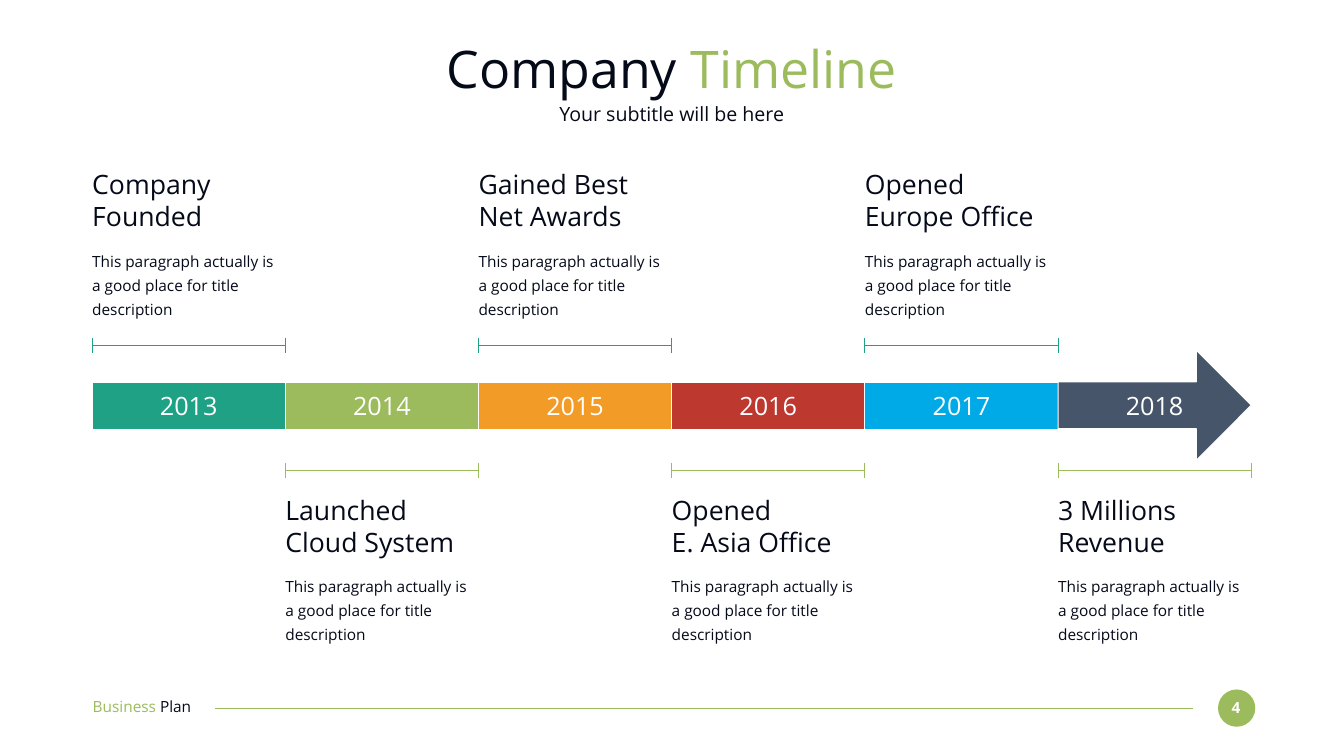
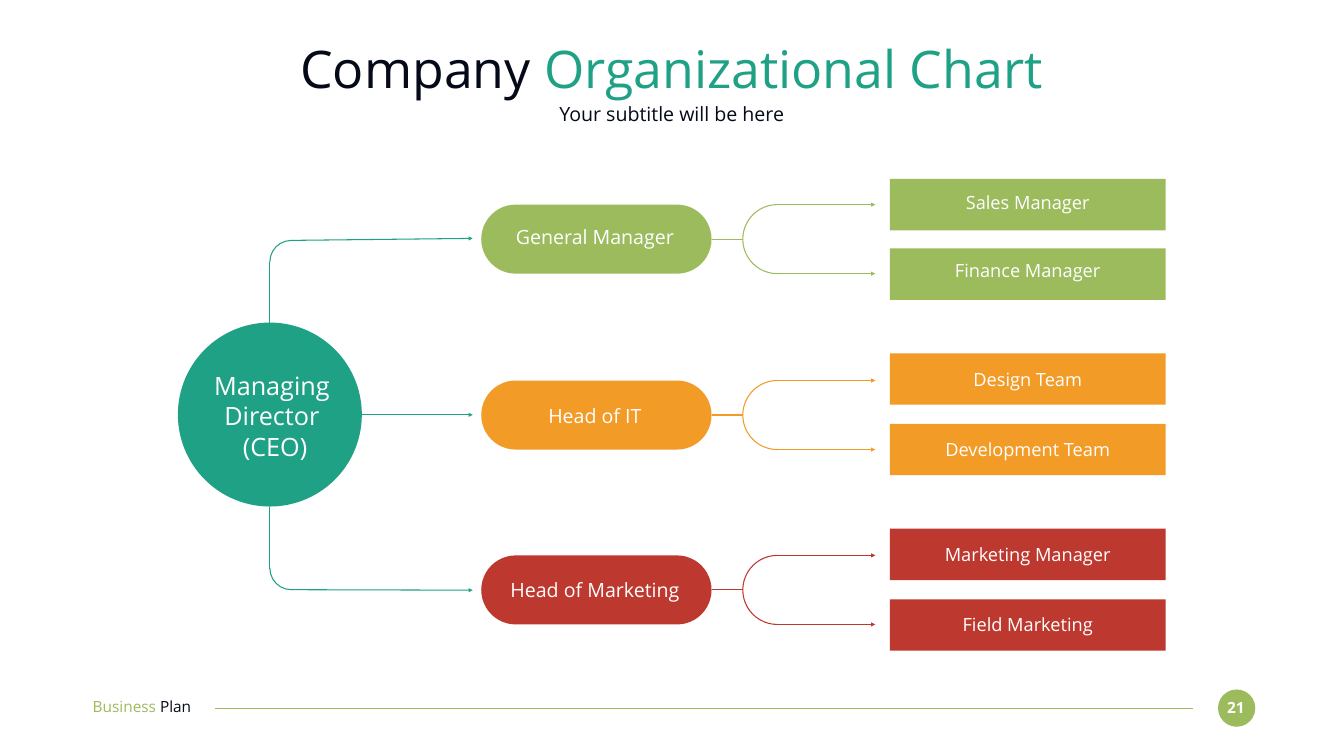
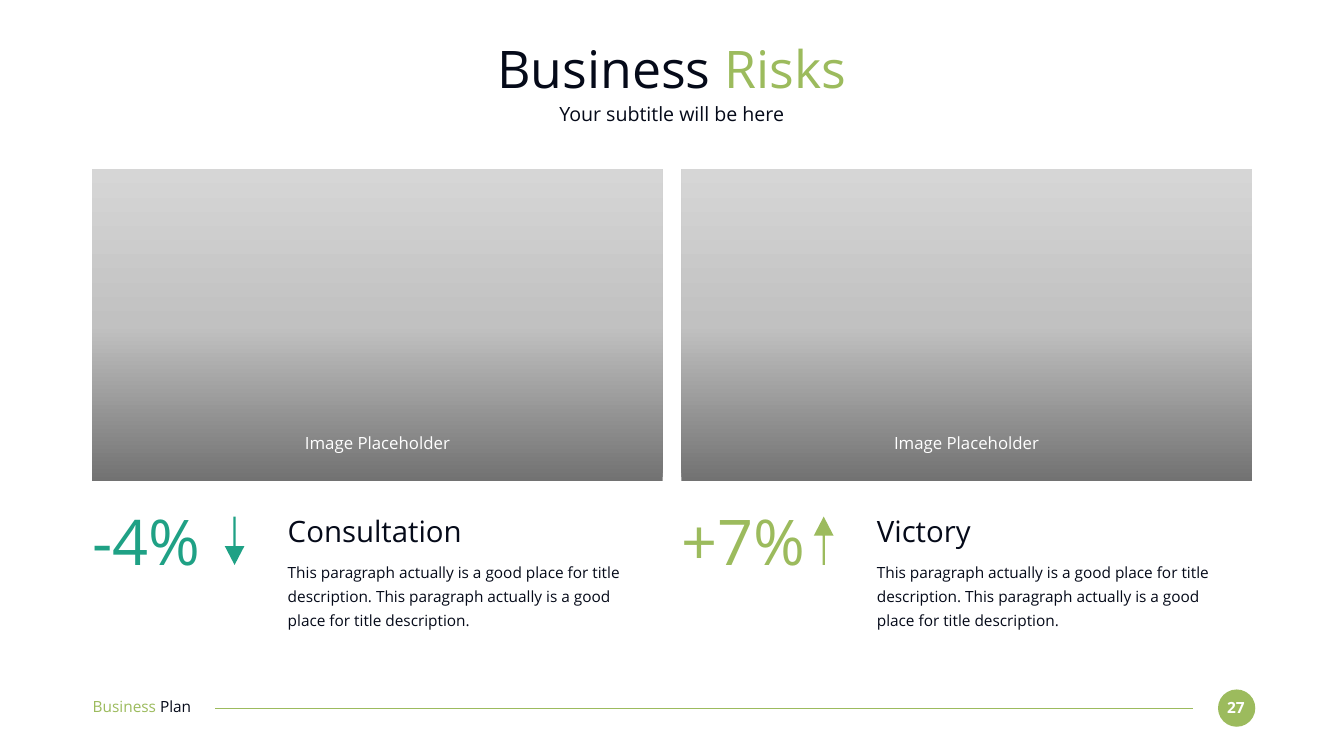
from copy import deepcopy

from lxml.etree import SubElement as Sub
from pptx import Presentation
from pptx.dml.color import RGBColor
from pptx.enum.shapes import MSO_CONNECTOR as Link, MSO_SHAPE as Kind
from pptx.enum.text import MSO_ANCHOR as Anchor, MSO_AUTO_SIZE as Size, PP_ALIGN as Align
from pptx.oxml.ns import qn
from pptx.util import Inches, Pt

FONT = "Open Sans"
INK, WHITE = "050A19", "FFFFFF"
TEAL, GREEN, AMBER = "1FA185", "9CBB5D", "F29B27"
RED, BLUE, SLATE = "BD382F", "00AAE6", "465569"
LEFT, WIDE = 1.83, 23
BLURB = "This paragraph actually is a good place for title description"


def rgb(code):
    return RGBColor.from_string(code)


def inch(*vals):
    return [Inches(v) for v in vals]


def write(frame, paras, size, align=Align.LEFT, space=None, bold=False):
    """Fill a frame; each paragraph is a list of (text, colour) runs."""
    frame.word_wrap = True
    frame.auto_size = Size.NONE
    frame.vertical_anchor = Anchor.TOP
    frame.margin_left = frame.margin_right = 0
    frame.margin_top = frame.margin_bottom = 0
    for i, runs in enumerate(paras):
        para = frame.add_paragraph() if i else frame.paragraphs[0]
        para.alignment = align
        if space:
            para.line_spacing = space
        for text, color in runs:
            run = para.add_run()
            run.text = text
            font = run.font
            font.name, font.size, font.bold = FONT, Pt(size), bold
            font.color.rgb = rgb(color)


def label(slide, box, text, size, color=INK, **style):
    """Add a text box of one colour; a line break starts a paragraph."""
    frame = slide.shapes.add_textbox(*inch(*box)).text_frame
    write(frame, [[(t, color)] for t in text.split("\n")], size, **style)


def center(slide, box, text, size, color=WHITE, **style):
    label(slide, box, text, size, color, align=Align.CENTER, **style)


def form(slide, kind, box, fill=None, edge=None, adj=()):
    shape = slide.shapes.add_shape(kind, *inch(*box))
    shape.shadow.inherit = False
    if fill:
        shape.fill.solid()
        shape.fill.fore_color.rgb = rgb(fill)
    else:
        shape.fill.background()
    if edge:
        shape.line.color.rgb = rgb(edge)
        shape.line.width = Pt(1.5)
    else:
        shape.line.fill.background()
    for i, val in enumerate(adj):
        shape.adjustments[i] = val
    return shape


def rule(shapes, x1, y1, x2, y2, color, arrow=False):
    """Draw a line, with an arrowhead at its first point if asked."""
    line = shapes.add_connector(Link.STRAIGHT, *inch(x1, y1, x2, y2))
    line.line.color.rgb = rgb(color)
    line.line.width = Pt(1.5)
    if arrow:
        Sub(line.line._get_or_add_ln(), qn("a:headEnd"), type="triangle")
    Sub(line._element.spPr, qn("a:effectLst"))
    return line


def arc(slide, box, color, end=0, flip=False):
    shape = form(slide, Kind.ARC, box, edge=color, adj=(162, end))
    if flip:
        shape._element.spPr.xfrm.set("flipH", "1")
    return shape


def footer(slide, number):
    form(slide, Kind.OVAL, (24.17, 13.68, 0.74, 0.74), GREEN)
    center(slide, (24.23, 13.85, 0.59, 0.37), number, 22, bold=True)
    rule(slide.shapes, 23.67, 14.05, 4.27, 14.05, GREEN)
    box = slide.shapes.add_textbox(*inch(1.84, 13.84, 2.59, 0.37))
    write(box.text_frame, [[("Business ", GREEN), ("Plan", INK)]], 22)


def start(prs, number, first, second, color):
    """Add a slide with its footer, two-colour title and subtitle."""
    slide = prs.slides.add_slide(prs.slide_layouts[5])
    footer(slide, number)
    title = slide.shapes.title
    title.left, title.top, title.width, title.height = inch(LEFT, 0.73, WIDE, 1.27)
    write(title.text_frame, [[(first, INK), (second, color)]], 74, Align.CENTER)
    center(slide, (LEFT, 2.03, WIDE, 0.49), "Your subtitle will be here", 28, INK)
    return slide


def bracket(slide, x, y, wide, color):
    group = slide.shapes.add_group_shape().shapes
    rule(group, x, y, x + wide, y, color)
    for end in (x, x + wide):
        rule(group, end, y - 0.15, end, y + 0.14, color)


def event(slide, x, y, wide, head):
    label(slide, (x, y, wide, 1.28), head, 38)
    label(slide, (x, y + 1.55, wide, 1.44), BLURB, 22, space=1.3)


def timeline(prs):
    slide = start(prs, "4", "Company ", "Timeline", GREEN)
    steps = [
        (TEAL, "Company Founded"),
        (GREEN, "Launched Cloud System"),
        (AMBER, "Gained Best\nNet Awards"),
        (RED, "Opened\nE. Asia Office"),
        (BLUE, "Opened\nEurope Office"),
        (SLATE, "3 Millions\nRevenue"),
    ]
    step = WIDE / len(steps)
    for i, (color, head) in enumerate(steps):
        x = LEFT + i * step
        if i == len(steps) - 1:
            form(slide, Kind.RIGHT_ARROW, (x, 6.95, step, 2.18), color, WHITE, (0.427, 0.5))
        else:
            form(slide, Kind.RECTANGLE, (x, 7.58, step, 0.94), color, WHITE)
        center(slide, (x + 1.02, 7.74, 1.79, 0.61), str(2013 + i), 36)
        if i % 2:
            bracket(slide, x, 9.34, step, GREEN)
            event(slide, x, 9.8, step, head)
        else:
            bracket(slide, x, 6.86, step, TEAL)
            event(slide, x, 3.34, step, head)


def leader(slide, x, y, size):
    """Draw the director's circle and the arrows to the three heads."""
    form(slide, Kind.OVAL, (x, y, size, size), TEAL)
    center(slide, (x + 0.19, y + 0.95, 3.35, 1.82), "Managing Director\n (CEO)", 36)
    mid, tip, bend = x + size / 2, x + 5.85, 0.85
    high, low = y - 1.63, y + 5.3
    rule(slide.shapes, tip, high - 0.04, mid + 0.42, high, TEAL, True)
    rule(slide.shapes, mid, y, mid, high + 0.42, TEAL)
    arc(slide, (mid, high, bend, bend), TEAL, flip=True)
    rule(slide.shapes, tip, y + 1.83, x + size, y + 1.83, TEAL, True)
    arc(slide, (mid, low - bend, bend, bend), TEAL).rotation = 180
    rule(slide.shapes, tip, low + 0.01, mid + 0.42, low, TEAL, True)
    rule(slide.shapes, mid, y + size, mid, low - 0.42, TEAL)


def branch(slide, x, y, color, head, drop, teams):
    """Draw a head's pill, its fork and the teams below it."""
    high = 1.37
    pill = form(slide, Kind.ROUNDED_RECTANGLE, (x, y, 4.57, high), color, adj=(0.5,))
    center(slide, (x + 0.33, y + drop, 3.85, 0.47), head, 28)
    fork = x + 5.19
    arc(slide, (fork, y, high, high), color, 54, flip=True)
    stub = rule(slide.shapes, x + 4.57, y + high / 2, fork, y + high / 2, color)
    stub.begin_connect(pill, 3)
    for end in (y, y + high):
        rule(slide.shapes, x + 7.82, end, fork + high / 2, end, color, True)
    for name, top, inset in teams:
        form(slide, Kind.RECTANGLE, (x + 8.11, y + top, 5.47, 1.02), color)
        center(slide, (x + 8.92, y + top + inset, 3.85, 0.44), name, 26)


def chart(prs):
    slide = start(prs, "21", "Company ", "Organizational Chart", TEAL)
    leader(slide, 3.53, 6.4, 3.65)
    heads = [
        (4.06, GREEN, "General Manager", 0.41,
         [("Sales Manager", -0.51, 0.24), ("Finance Manager", 0.87, 0.22)]),
        (7.55, AMBER, "Head of IT", 0.47,
         [("Design Team", -0.54, 0.29), ("Development Team", 0.86, 0.29)]),
        (11.02, RED, "Head of Marketing", 0.45,
         [("Marketing Manager", -0.53, 0.29), ("Field Marketing", 0.87, 0.28)]),
    ]
    for top, *rest in heads:
        branch(slide, 9.55, top, *rest)


def shade(shape, colors):
    """Fill with evenly spaced colours from bottom to top."""
    shape.fill.gradient()
    shape.fill.gradient_angle = 90
    stops = shape._element.spPr.find(".//" + qn("a:gsLst"))
    while len(stops) < len(colors):
        stops.append(deepcopy(stops[0]))
    for i, (stop, color) in enumerate(zip(shape.fill.gradient_stops, colors)):
        stop.position = i / (len(colors) - 1)
        stop.color.rgb = rgb(color)


def risk(slide, x, y, rate, color, head, turn):
    frame = form(slide, Kind.RECTANGLE, (x, y, 11.32, 6.18))
    shade(frame, ("727272", "C1C1C1", "D6D6D6"))
    center(slide, (x + 2.14, y + 5.23, 7.04, 0.4), "Image Placeholder", 24)
    label(slide, (x, y + 6.62, 2.55, 1.51), rate, 90, color)
    arrow = form(slide, Kind.DOWN_ARROW, (x + 2.63, y + 6.89, 0.39, 0.96), color,
                 adj=(0.11, 0.961))
    arrow.rotation = turn
    label(slide, (x + 3.88, y + 6.83, 6.92, 0.71), head, 42)
    label(slide, (x + 3.88, y + 7.71, 6.92, 1.4), f"{BLURB}. {BLURB}.", 22, space=1.3)


def risks(prs):
    slide = start(prs, "27", "Business ", "Risks", GREEN)
    risk(slide, 1.83, 3.36, "-4%", TEAL, "Consultation", 0)
    risk(slide, 13.52, 3.36, "+7%", GREEN, "Victory", 180)


def main():
    prs = Presentation()
    prs.slide_width, prs.slide_height = inch(26.67, 15)
    timeline(prs)
    chart(prs)
    risks(prs)
    prs.save("out.pptx")


if __name__ == "__main__":
    main()
